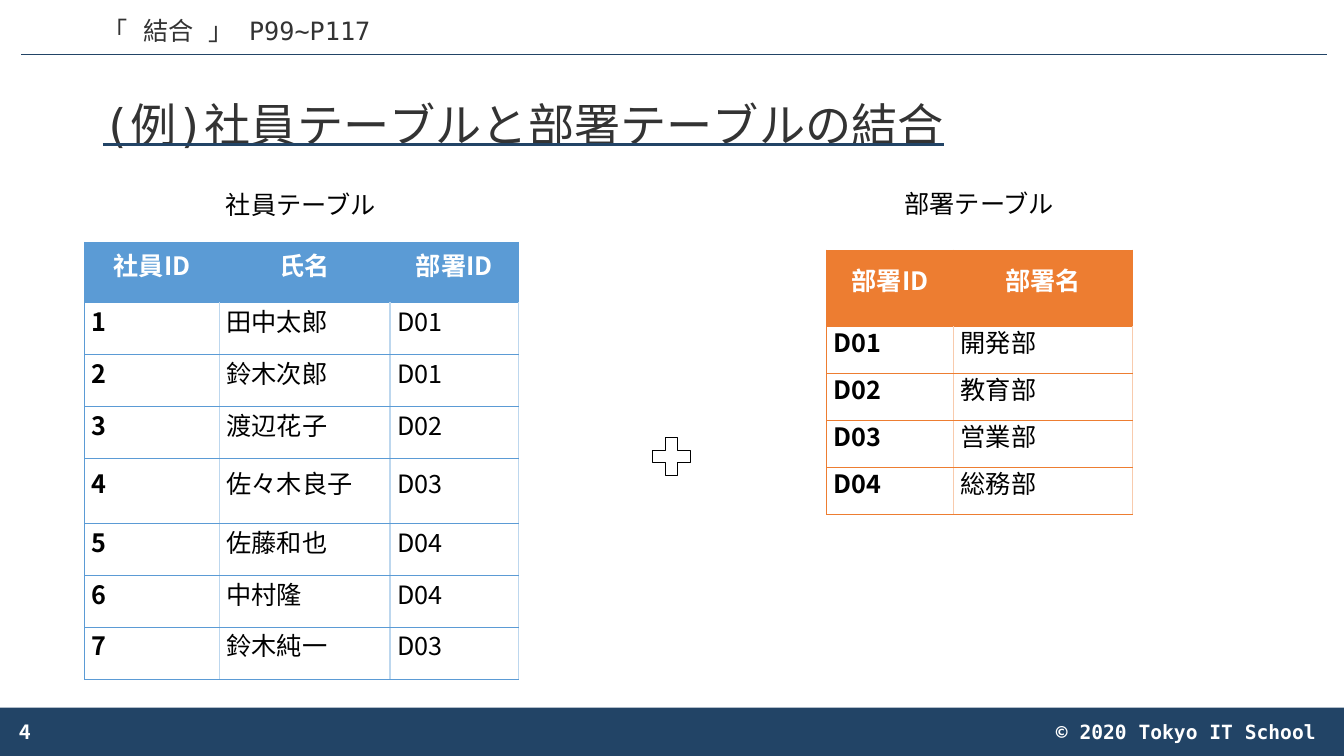
from lxml.etree import SubElement
from pptx import Presentation
from pptx.dml.color import RGBColor
from pptx.enum.shapes import MSO_CONNECTOR, MSO_SHAPE
from pptx.enum.text import MSO_ANCHOR, MSO_AUTO_SIZE, PP_ALIGN
from pptx.oxml import parse_xml
from pptx.oxml.ns import nsdecls, qn
from pptx.util import Cm, Pt

MONO, SANS = "DejaVu Sans Mono", "Noto Sans CJK JP"
NAVY, GRAY, BLACK, WHITE = "224466", "333333", "000000", "FFFFFF"
color = RGBColor.from_string


def write(frame, text, size, font_name, text_color, bold=False, align=PP_ALIGN.LEFT):
    """Fill a text frame with one formatted paragraph and return it."""
    frame.text = text
    paragraph = frame.paragraphs[0]
    paragraph.alignment = align
    font = paragraph.font
    font.size, font.bold, font.name = Pt(size), bold, font_name
    font.color.rgb = color(text_color)
    properties = paragraph._p.pPr.find(qn("a:defRPr"))
    SubElement(properties, qn("a:ea")).set("typeface", font_name)
    return paragraph


def set_border(cell, position, side, line_color, width):
    """Add one cell border; position keeps the sides in schema order."""
    cell._tc.get_or_add_tcPr().insert(position, parse_xml(
        f'<a:ln{side} {nsdecls("a")} w="{Pt(width)}"><a:solidFill>'
        f'<a:srgbClr val="{line_color}"/></a:solidFill></a:ln{side}>'))


presentation = Presentation()
presentation.slide_width, presentation.slide_height = Cm(33.87), Cm(19.05)
slide = presentation.slides.add_slide(presentation.slide_layouts[5])
shapes = slide.shapes

# Footer band
band = shapes.add_shape(MSO_SHAPE.RECTANGLE, 0, Cm(17.83), Cm(33.87), Cm(1.22))
band.shadow.inherit = False
band.fill.solid()
band.fill.fore_color.rgb = color(NAVY)
band.line.fill.background()

# Rule under the header
rule = shapes.add_connector(MSO_CONNECTOR.STRAIGHT, Cm(0.53), Cm(1.37), Cm(33.43), Cm(1.37))
rule.line.color.rgb = color(NAVY)
rule.line.width = Pt(0.5)
SubElement(rule._element.spPr, qn("a:effectLst"))

# Title, underlined in navy
title = shapes.title
title.left, title.top, title.width, title.height = Cm(2.34), Cm(1.73), Cm(29.21), Cm(2.97)
title.text_frame.auto_size = MSO_AUTO_SIZE.NONE
title.text_frame.vertical_anchor = MSO_ANCHOR.MIDDLE
heading = write(title.text_frame, "(例)社員テーブルと部署テーブルの結合", 33, MONO, GRAY)
heading.line_spacing = 0.9
heading.font.underline = True
heading._p.pPr.find(qn("a:defRPr")).find(qn("a:latin")).addprevious(parse_xml(
    f'<a:uFill {nsdecls("a")}><a:solidFill><a:srgbClr val="{NAVY}"/></a:solidFill></a:uFill>'))

# Header, footer texts and table captions
labels = [
    ("「 結合 」 P99~P117", 2.34, 0.25, 21.82, 1.02, 18, MONO, GRAY, False, PP_ALIGN.LEFT),
    ("© 2020 Tokyo IT School", 21.18, 18.01, 12.24, 0.86, 14, MONO, WHITE, True, PP_ALIGN.RIGHT),
    ("4", 0.25, 17.93, 7.62, 1.02, 14, SANS, WHITE, True, PP_ALIGN.LEFT),
    ("社員テーブル", 4.29, 4.65, 6.58, 1.02, 18, SANS, BLACK, False, PP_ALIGN.CENTER),
    ("部署テーブル", 22.43, 4.62, 4.5, 1.02, 18, SANS, BLACK, False, PP_ALIGN.CENTER),
]
for text, left, top, width, height, *style in labels:
    box = shapes.add_textbox(Cm(left), Cm(top), Cm(width), Cm(height))
    box.text_frame.word_wrap = True
    box.text_frame.vertical_anchor = MSO_ANCHOR.MIDDLE
    write(box.text_frame, text, *style)

# Plus sign between the tables
plus = shapes.add_shape(MSO_SHAPE.MATH_PLUS, Cm(16.28), Cm(10.85), Cm(1.3), Cm(1.3))
plus.shadow.inherit = False
plus.fill.background()
plus.line.color.rgb = color(BLACK)
plus.line.width = Pt(1)

# Tables: left, top, column widths, row heights, vertical margin, accent, light, rows
employees = [
    ("社員ID", "氏名", "部署ID"),
    ("1", "田中太郎", "D01"),
    ("2", "鈴木次郎", "D01"),
    ("3", "渡辺花子", "D02"),
    ("4", "佐々木良子", "D03"),
    ("5", "佐藤和也", "D04"),
    ("6", "中村隆", "D04"),
    ("7", "鈴木純一", "D03"),
]
departments = [
    ("部署ID", "部署名"),
    ("D01", "開発部"),
    ("D02", "教育部"),
    ("D03", "営業部"),
    ("D04", "総務部"),
]
tables = [
    (2.13, 6.1, [3.4, 4.3, 3.23], [1.53] + [1.31] * 3 + [1.63] + [1.31] * 3,
     0.15, "5B9BD5", "BDD7EE", employees),
    (20.83, 6.3, [3.2, 4.5], [1.93] + [1.18] * 4,
     0.1, "ED7D31", "F8CBAD", departments),
]
for left, top, widths, heights, margin, accent, light, rows in tables:
    table = shapes.add_table(len(rows), len(widths), Cm(left), Cm(top),
                             Cm(sum(widths)), Cm(sum(heights))).table
    table.horz_banding = False
    for column, width in zip(table.columns, widths):
        column.width = Cm(width)
    for row, height in zip(table.rows, heights):
        row.height = Cm(height)
    for r, values in enumerate(rows):
        for c, value in enumerate(values):
            cell = table.cell(r, c)
            is_header = r == 0
            cell.vertical_anchor = MSO_ANCHOR.MIDDLE
            cell.margin_left = cell.margin_right = Cm(0.18)
            cell.margin_top = cell.margin_bottom = Cm(margin)
            if is_header:
                cell.fill.solid()
                cell.fill.fore_color.rgb = color(accent)
            else:
                cell.fill.background()
            paragraph = write(cell.text_frame, value, 18, SANS, WHITE if is_header else BLACK,
                              is_header or c == 0,
                              PP_ALIGN.CENTER if is_header else PP_ALIGN.JUSTIFY)
            paragraph.line_spacing = Pt(14)
            strong, soft = (accent, 0.5), (light, 1)
            borders = {"L": strong if is_header or c == 0 else soft,
                       "R": strong if is_header else soft,
                       "T": strong, "B": strong}
            for position, (side, line) in enumerate(borders.items()):
                set_border(cell, position, side, *line)

presentation.save("out.pptx")
